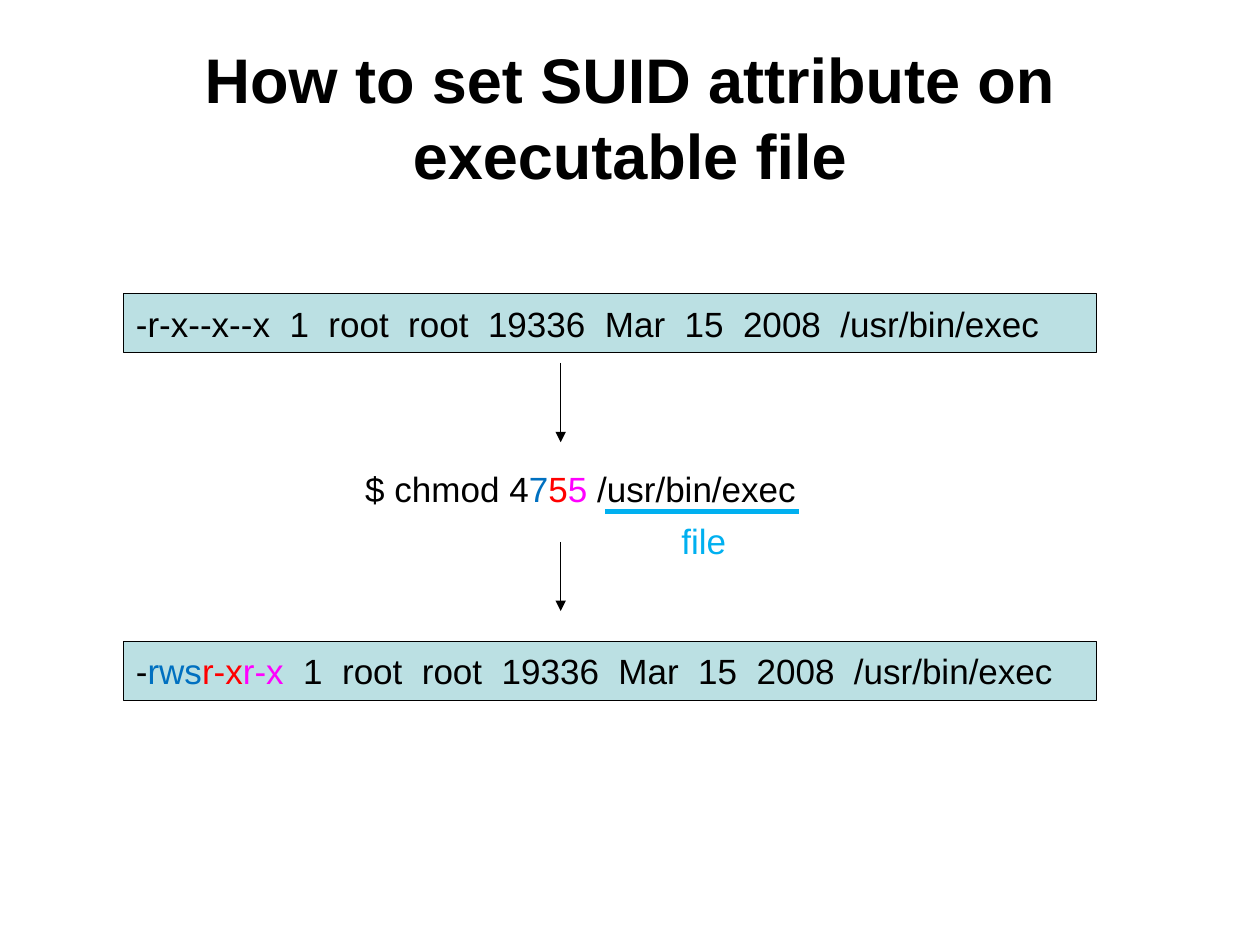
"""Build a slide showing how chmod sets the SUID attribute on an executable file."""
from lxml.etree import SubElement
from pptx import Presentation
from pptx.dml.color import RGBColor
from pptx.enum.shapes import MSO_CONNECTOR as Connector, MSO_SHAPE as Shape
from pptx.enum.text import MSO_ANCHOR as Anchor, PP_ALIGN as Align
from pptx.oxml.ns import qn
from pptx.util import Inches, Pt

COLORS = {
    "text": "000000", "panel": "BBE0E3", "owner": "0070C0",
    "group": "FF0000", "others": "FF00FF", "file": "00B0F0",
}
TITLE = [("How to set SUID attribute on executable file", "text")]
DETAILS = "  1  root  root  19336  Mar  15  2008  /usr/bin/exec"
LISTINGS = [
    (2.33, [("-r-x--x--x" + DETAILS, "text")]),
    (5.09, [("-", "text"), ("rws", "owner"), ("r-x", "group"),
            ("r-x", "others"), (DETAILS, "text")]),
]
COMMAND = [("$ chmod 4", "text"), ("7", "owner"), ("5", "group"),
           ("5", "others"), (" /usr/bin/exec", "text")]
FILE_LABEL = [("file", "file")]
PANEL_LEFT, PANEL_WIDTH, PANEL_HEIGHT = 0.98, 7.72, 0.47
ARROW_X = 4.45
ARROWS = [(2.88, 3.51), (4.3, 4.85)]
UNDERLINE = (4.8, 4.06, 6.34, 4.06)


def color(name):
    return RGBColor.from_string(COLORS[name])


def write(shape, parts, size=20, bold=False, wrap=True, anchor=Anchor.TOP, align=Align.LEFT):
    frame = shape.text_frame
    frame.word_wrap = wrap
    frame.vertical_anchor = anchor
    para = frame.paragraphs[0]
    para.alignment = align
    for text, tint in parts:
        span = para.add_run()
        span.text = text
        span.font.name = "Arial"
        span.font.size = Pt(size)
        span.font.bold = bold
        span.font.color.rgb = color(tint)


def add_text(page, place, parts, **style):
    box = page.shapes.add_textbox(*map(Inches, place))
    write(box, parts, **style)


def add_panel(page, top, parts):
    panel = page.shapes.add_shape(
        Shape.RECTANGLE, *map(Inches, (PANEL_LEFT, top, PANEL_WIDTH, PANEL_HEIGHT)))
    panel.shadow.inherit = False
    panel.fill.solid()
    panel.fill.fore_color.rgb = color("panel")
    panel.line.color.rgb = color("text")
    panel.line.width = Pt(0.75)
    write(panel, parts, wrap=False, anchor=Anchor.MIDDLE)


def add_line(page, ends, tint, width, arrow=False):
    line = page.shapes.add_connector(Connector.STRAIGHT, *map(Inches, ends))
    line.line.color.rgb = color(tint)
    line.line.width = Pt(width)
    if arrow:
        SubElement(line.line._get_or_add_ln(), qn("a:tailEnd"), type="triangle")
    SubElement(line._element.spPr, qn("a:effectLst"))


def main():
    deck = Presentation()
    deck.slide_width, deck.slide_height = Inches(10), Inches(7.5)
    page = deck.slides.add_slide(deck.slide_layouts[6])

    add_text(page, (0.5, 0.3, 9, 1.25), TITLE, size=36, bold=True,
             anchor=Anchor.MIDDLE, align=Align.CENTER)
    add_text(page, (2.8, 3.66, 6.29, 0.44), COMMAND)
    for top, parts in LISTINGS:
        add_panel(page, top, parts)
    for start, end in ARROWS:
        add_line(page, (ARROW_X, start, ARROW_X, end), "text", 0.75, arrow=True)
    add_line(page, UNDERLINE, "file", 3)
    add_text(page, (5.31, 4.07, 0.65, 0.44), FILE_LABEL)

    deck.save("out.pptx")


if __name__ == "__main__":
    main()
